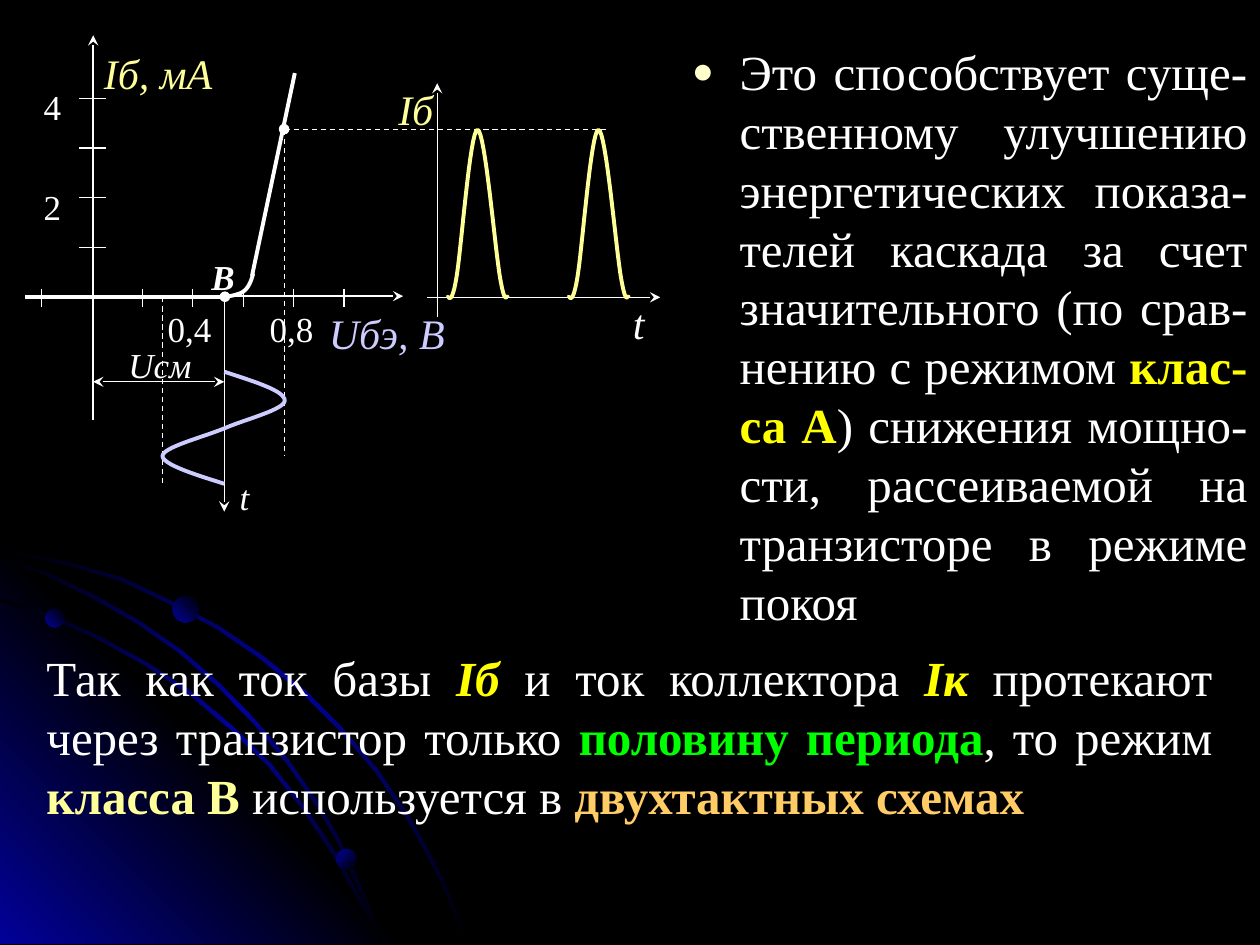
import pptx
import pptx.util
from lxml import etree
from pptx.dml.color import RGBColor
from pptx.enum.dml import MSO_LINE
from pptx.enum.shapes import MSO_CONNECTOR, MSO_SHAPE
from pptx.enum.text import MSO_ANCHOR, MSO_AUTO_SIZE, PP_ALIGN
from pptx.oxml.ns import qn

WHITE = RGBColor(0xFF, 0xFF, 0xFF)
BLACK = RGBColor(0x00, 0x00, 0x00)
BLUE = RGBColor(0x01, 0x01, 0x99)
YELLOW = RGBColor(0xFF, 0xFF, 0x00)
CREAM = RGBColor(0xFF, 0xFF, 0x99)
PALE = RGBColor(0xFF, 0xFF, 0xCC)
LILAC = RGBColor(0xCC, 0xCC, 0xFF)
GREEN = RGBColor(0x00, 0xFF, 0x00)
ORANGE = RGBColor(0xFF, 0xCC, 0x66)
FONT = "Times New Roman"

prs = pptx.Presentation()
prs.slide_width, prs.slide_height = pptx.util.Inches(10), pptx.util.Inches(7.5)
U = prs.slide_width // 10  # one square of a 10 x 7.5 grid
s = prs.slides.add_slide(prs.slide_layouts[1])
s.background.fill.solid()
s.background.fill.fore_color.rgb = BLACK
title = s.shapes.title._element
title.getparent().remove(title)


def outline(points, close):
    pts = [(int(x * U), int(y * U)) for x, y in points]
    fb = s.shapes.build_freeform(*pts[0])
    fb.add_line_segments(pts[1:], close=close)
    sp = fb.convert_to_shape()
    sp.shadow.inherit = False
    return sp


def add_runs(p, size, runs):
    """Each run is (text, colour, style), where style holds b and i."""
    for text, color, style in runs:
        r = p.add_run()
        r.text = text
        r.font.name, r.font.size = FONT, pptx.util.Pt(size)
        r.font.color.rgb = color
        r.font.bold, r.font.italic = "b" in style, "i" in style


# Corner decoration: triangle, three arcs and three balls
decor = [(outline([(0, 4.27), (3.22, 7.49), (0, 7.49)], True), [BLUE, BLACK, BLUE], 135)]
arcs = [
    [(0, 4.35), (0.57, 4.47), (0.98, 4.59), (1.36, 4.77), (1.74, 4.97), (2.09, 5.21), (2.42, 5.48),
     (2.72, 5.78), (3, 6.11), (3.25, 6.48), (3.39, 6.73), (3.52, 6.98), (3.62, 7.23), (3.72, 7.49)],
    [(0, 4.75), (0.41, 4.88), (0.79, 5.05), (1.17, 5.26), (1.52, 5.49), (1.84, 5.76), (2.15, 6.06),
     (2.42, 6.4), (2.66, 6.76), (2.86, 7.12), (2.96, 7.3), (3.03, 7.49)],
    [(0, 4.42), (0.39, 4.55), (0.76, 4.73), (1.11, 4.93), (1.44, 5.16), (1.75, 5.43), (2.04, 5.73),
     (2.29, 6.03), (2.54, 6.39), (2.69, 6.65), (2.82, 6.93), (2.94, 7.2), (3.03, 7.49)],
]
for arc in arcs:
    inner = [(max(x - 0.02, 0), min(y + 0.02, 7.49)) for x, y in reversed(arc)]
    decor.append((outline(arc + inner, True), [BLACK, BLUE, BLACK], 225))
for x, y, d, angle in [(0.36, 4.83, 0.15, 135), (2.67, 6.74, 0.16, 225), (1.37, 4.73, 0.21, 135)]:
    ball = s.shapes.add_shape(MSO_SHAPE.OVAL, *[int(v * U) for v in (x, y, d, d)])
    ball.shadow.inherit = False
    decor.append((ball, [BLACK, BLUE], angle))
for sp, colors, angle in decor:
    sp.line.fill.background()
    sp.fill.gradient()
    sp.fill.gradient_angle = 360 - angle
    stops = sp._element.spPr.find(".//" + qn("a:gsLst"))
    for stop in list(stops):
        stops.remove(stop)
    for i, color in enumerate(colors):
        gs = etree.SubElement(stops, qn("a:gs"), pos=str(100000 * i // (len(colors) - 1)))
        etree.SubElement(gs, qn("a:srgbClr"), val=str(color))

# Axes, ticks and guides: from, to, width, dashed, arrow ends
X0, Y0 = 0.74, 2.36
lines = [
    (0.2, 2.35, 3.2, 2.35, 1, False, ["tailEnd"]),
    (0.2, Y0, 1.81, Y0, 2.25, False, []),
    (X0, 3.33, X0, 0.28, 1, False, ["tailEnd"]),
    (2, 2.19, 2.34, 0.58, 2.25, False, []),
    (1.29, Y0, 1.29, 3.84, 0.75, True, []),
    (1.78, Y0, 1.78, 4.06, 0.75, False, ["tailEnd"]),
    (2.26, 1.03, 2.26, 3.62, 0.75, True, []),
    (2.26, 1.03, 4.83, 1.03, 0.75, True, []),
    (3.39, Y0, 5.24, Y0, 0.75, False, ["tailEnd"]),
    (3.47, 2.52, 3.47, 0.66, 0.75, False, ["tailEnd"]),
    (X0, 3.03, 1.78, 3.03, 0.75, False, ["headEnd", "tailEnd"]),
]
for i in (-1, 1, 2, 3, 4, 5):
    x = X0 - 0.01 + 0.4 * i
    lines.append((x, 2.29, x, 2.44, 0.75, False, []))
for i in range(1, 5):
    y = Y0 - 0.395 * i
    lines.append((0.63, y, 0.84, y, 0.75, False, []))
for x1, y1, x2, y2, width, dashed, ends in lines:
    c = s.shapes.add_connector(MSO_CONNECTOR.STRAIGHT, *[int(v * U) for v in (x1, y1, x2, y2)])
    c.line.color.rgb = WHITE
    c.line.width = pptx.util.Pt(width)
    if dashed:
        c.line.dash_style = MSO_LINE.DASH
    for end in ends:
        etree.SubElement(c.line._get_or_add_ln(), qn("a:" + end), type="stealth")
    etree.SubElement(c._element.spPr, qn("a:effectLst"))

# Curves: a start point, then two handles and an end point per Bezier piece
pulse = [(0, 2.36), (0.01, 2.34), (0.03, 2.44), (0.07, 2.22), (0.11, 2), (0.18, 1.03), (0.24, 1.03),
         (0.3, 1.03), (0.38, 1.99), (0.42, 2.21), (0.46, 2.44), (0.47, 2.33), (0.48, 2.36)]
curves = [
    (WHITE, [(1.81, 2.35), (1.84, 2.35), (1.87, 2.34), (1.9, 2.33), (1.96, 2.31), (1.99, 2.25), (2.01, 2.17)]),
    (LILAC, [(1.78, 2.95), (2.02, 3.03), (2.26, 3.1), (2.26, 3.18), (2.26, 3.25), (1.94, 3.33), (1.78, 3.4),
             (1.61, 3.47), (1.29, 3.55), (1.29, 3.62), (1.29, 3.7), (1.7, 3.81), (1.78, 3.84)]),
]
curves += [(CREAM, [(x + left, y) for x, y in pulse]) for left in (3.55, 4.51)]
STEPS = 16
for color, knots in curves:
    points = [knots[0]]
    for k in range(0, len(knots) - 1, 3):
        for t in [n / STEPS for n in range(1, STEPS + 1)]:
            weights = ((1 - t) ** 3, 3 * t * (1 - t) ** 2, 3 * t * t * (1 - t), t ** 3)
            points.append([sum(w * knot[axis] for w, knot in zip(weights, knots[k:k + 4])) for axis in (0, 1)])
    curve = outline(points, False)
    curve.fill.background()
    curve.line.color.rgb = color
    curve.line.width = pptx.util.Pt(2.25)

for x, y in [(1.75, 2.32), (2.22, 0.99)]:
    dot = s.shapes.add_shape(MSO_SHAPE.OVAL, *[int(v * U) for v in (x, y, 0.07, 0.07)])
    dot.shadow.inherit = False
    dot.fill.solid()
    dot.fill.fore_color.rgb = dot.line.color.rgb = WHITE
    dot.line.width = pptx.util.Pt(1)

labels = [
    ("2", 0.2, 1.47, 0.43, 20, WHITE, ""),
    ("4", 0.2, 0.68, 0.43, 20, WHITE, ""),
    ("Iб, мА", 0.74, 0.38, 1.03, 24, CREAM, "i"),
    ("0,4", 1.29, 2.44, 0.43, 20, WHITE, ""),
    ("0,8", 2.1, 2.44, 0.43, 20, WHITE, ""),
    ("Uбэ, В", 2.53, 2.44, 1.08, 24, LILAC, "i"),
    ("t", 1.78, 3.77, 0.32, 20, WHITE, "i"),
    ("В", 1.61, 2.03, 0.32, 20, WHITE, "bi"),
    ("t", 4.91, 2.36, 0.32, 24, WHITE, "i"),
    ("Iб", 3.14, 0.66, 0.32, 24, CREAM, "i"),
    ("Uсм", 0.84, 2.73, 0.86, 20, WHITE, "i"),
]
for text, x, y, w, size, color, style in labels:
    tf = s.shapes.add_textbox(*[int(v * U) for v in (x, y, w, 0.3)]).text_frame
    tf.word_wrap = True
    tf.margin_left = tf.margin_right = tf.margin_top = tf.margin_bottom = 0
    tf.paragraphs[0].alignment = PP_ALIGN.CENTER
    add_runs(tf.paragraphs[0], size, [(text, color, style)])

# Bulleted body text and the conclusion below it
body = s.placeholders[1]
body.left, body.top, body.width, body.height = [int(v * U) for v in (5.39, 0.28, 4.61, 4.88)]
conclusion = s.shapes.add_textbox(*[int(v * U) for v in (0.27, 5.09, 9.45, 1.5)])
for sp in (body, conclusion):
    tf = sp.text_frame
    tf.word_wrap = True
    tf.auto_size = MSO_AUTO_SIZE.NONE
    tf.vertical_anchor = MSO_ANCHOR.TOP
    tf.paragraphs[0].alignment = PP_ALIGN.JUSTIFY
    tf.paragraphs[0].space_before = pptx.util.Pt(0)

p = body.text_frame.paragraphs[0]
pPr = p._p.get_or_add_pPr()
pPr.set("marL", str(int(0.38 * U)))
pPr.set("indent", str(int(-0.38 * U)))
etree.SubElement(etree.SubElement(pPr, qn("a:buClr")), qn("a:srgbClr"), val=str(PALE))
etree.SubElement(pPr, qn("a:buSzPct"), val="75000")
etree.SubElement(pPr, qn("a:buChar"), char="●")
add_runs(p, 28, [
    ("Это способствует суще-ственному улучшению энергетических показа-телей каскада за счет "
     "значительного (по срав-нению с режимом ", WHITE, ""),
    ("клас-са А", YELLOW, "b"),
    (") снижения мощно-сти, рассеиваемой на транзисторе в режиме покоя", WHITE, ""),
])
add_runs(conclusion.text_frame.paragraphs[0], 28, [
    ("Так как ток базы ", WHITE, ""), ("Iб", YELLOW, "bi"),
    (" и ток коллектора ", WHITE, ""), ("Iк", YELLOW, "bi"),
    (" протекают через транзистор только ", WHITE, ""), ("половину периода", GREEN, "b"),
    (", то режим ", WHITE, ""), ("класса В", CREAM, "b"),
    (" используется в ", WHITE, ""), ("двухтактных схемах", ORANGE, "b"),
])
prs.save("out.pptx")
